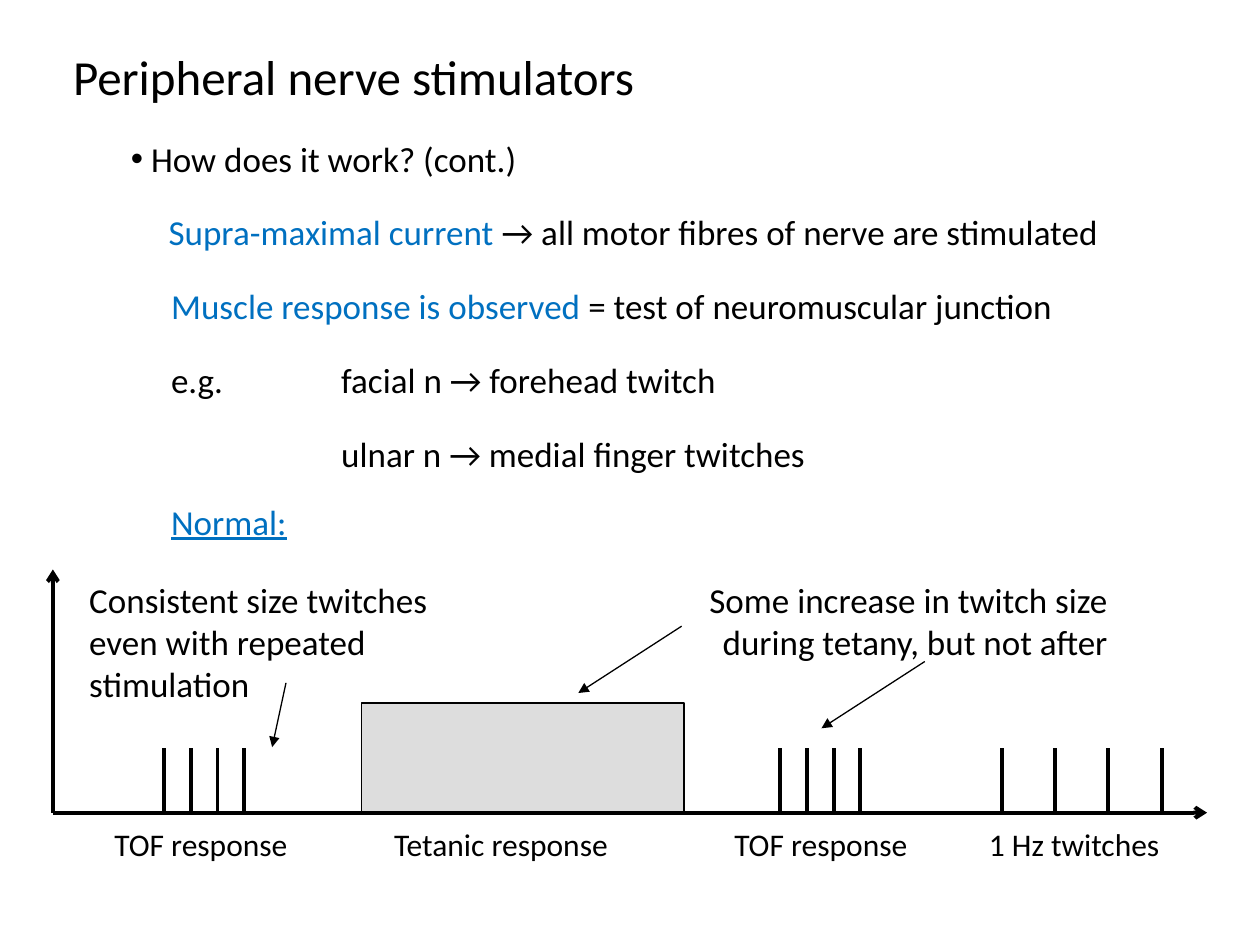
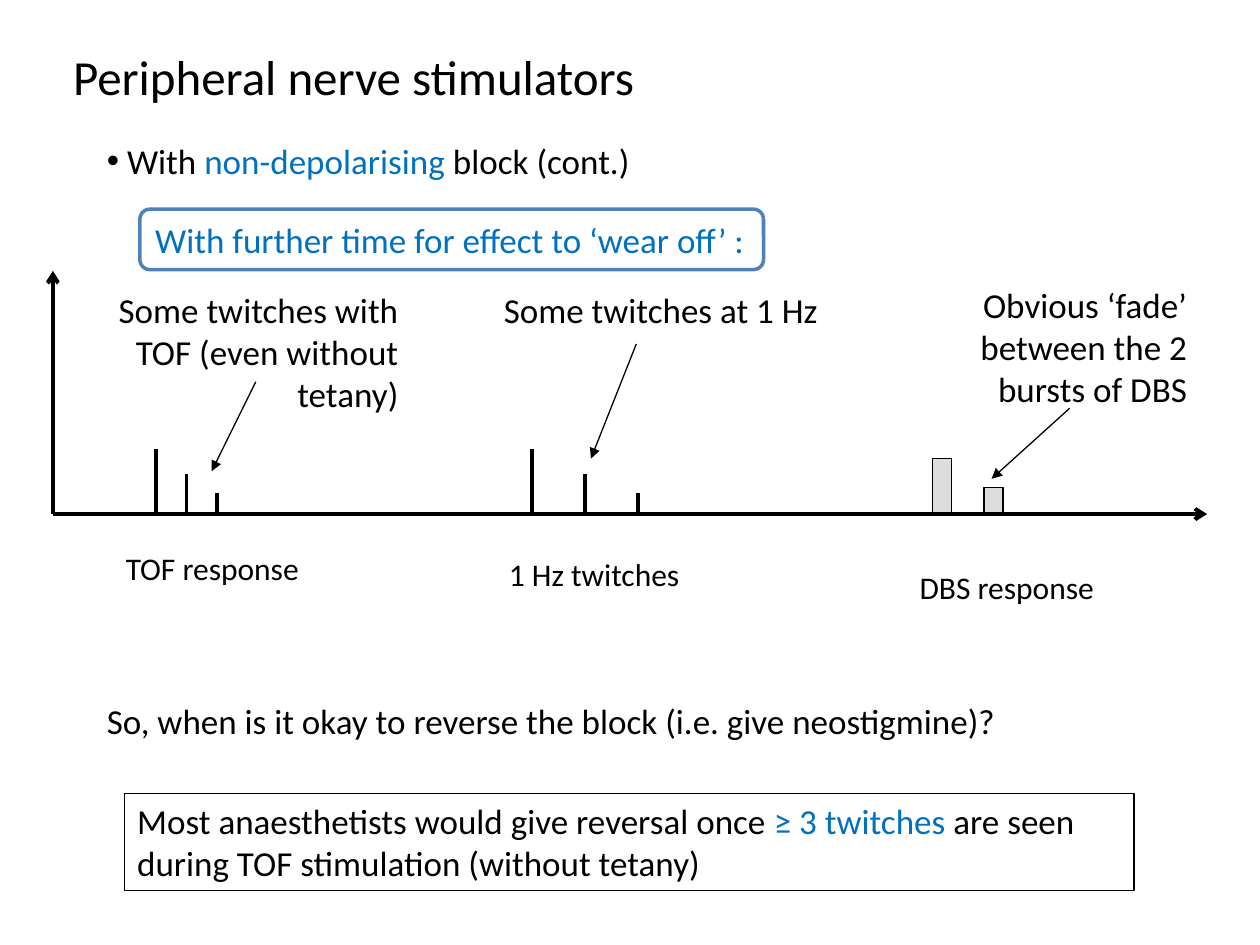
"""Build two slides on peripheral nerve stimulators."""
from dataclasses import dataclass
from typing import NamedTuple, Optional

from lxml.etree import SubElement
from pptx import Presentation
from pptx.dml.color import RGBColor
from pptx.enum.shapes import MSO_CONNECTOR, MSO_SHAPE
from pptx.enum.text import MSO_ANCHOR, MSO_AUTO_SIZE, PP_ALIGN
from pptx.oxml.ns import qn
from pptx.shapes.autoshape import Shape
from pptx.slide import Slide
from pptx.util import Inches, Pt

BLACK = RGBColor(0x00, 0x00, 0x00)
WHITE = RGBColor(0xFF, 0xFF, 0xFF)
GREY = RGBColor(0xDD, 0xDD, 0xDD)
BLUE = RGBColor(0x00, 0x70, 0xC0)
FRAME_BLUE = RGBColor(0x4F, 0x81, 0xBD)
FONT = "Calibri"
TITLE = "Peripheral nerve stimulators"
BODY_SIZE = 20
LABEL_SIZE = 18
THIN = 0.75
THICK = 2.25
AXIS_LEFT = 0.42
AXIS_RIGHT = 9.58
AXIS_HEIGHT = 1.93
TOF_STEP = 0.213
SLOW_STEP = 0.423
STEADY = (0.51,) * 4
FADING = (0.52, 0.32, 0.17)


class Run(NamedTuple):
    """A stretch of text in one colour."""
    text: str
    color: RGBColor = BLACK


class Area(NamedTuple):
    """A rectangle in inches."""
    left: float
    top: float
    width: float
    height: float


class Arrow(NamedTuple):
    """A pointer from a note to a response, in inches."""
    start_x: float
    start_y: float
    end_x: float
    end_y: float


@dataclass(frozen=True)
class Note:
    """A text box and its format."""
    area: Area
    runs: tuple[Run, ...]
    size: float = BODY_SIZE
    align: PP_ALIGN = PP_ALIGN.LEFT
    wrap: bool = False
    bullet: bool = False
    underline: bool = False


@dataclass(frozen=True)
class TwitchTrain:
    """Evenly spaced twitches standing on the time axis."""
    left: float
    step: float
    heights: tuple[float, ...]


def write_text(shape: Shape, runs: tuple[Run, ...], *, size: float = BODY_SIZE,
               align: PP_ALIGN = PP_ALIGN.LEFT, wrap: bool = False,
               bullet: bool = False, underline: bool = False) -> None:
    """Fill a shape with one formatted paragraph."""
    frame = shape.text_frame
    frame.word_wrap = wrap
    frame.auto_size = MSO_AUTO_SIZE.SHAPE_TO_FIT_TEXT
    frame.vertical_anchor = MSO_ANCHOR.TOP
    paragraph = frame.paragraphs[0]
    paragraph.alignment = align
    if bullet:
        properties = paragraph._p.get_or_add_pPr()
        properties.set("marL", str(Inches(0.16)))
        properties.set("indent", str(-Inches(0.16)))
        SubElement(properties, qn("a:buFont"), typeface="Arial")
        SubElement(properties, qn("a:buChar"), char="•")
    for text, color in runs:
        run = paragraph.add_run()
        run.text = text
        run.font.name = FONT
        run.font.size = Pt(size)
        run.font.color.rgb = color
        if underline:
            run.font.underline = True


def add_titled_slide(presentation: Presentation) -> Slide:
    """Add a title-only slide with the shared title."""
    slide = presentation.slides.add_slide(presentation.slide_layouts[5])
    title = slide.shapes.title
    title.left, title.top = Inches(0.48), Inches(0.32)
    title.width, title.height = Inches(5.05), Inches(0.57)
    write_text(title, (Run(TITLE),), size=28)
    return slide


def add_note(slide: Slide, note: Note) -> None:
    """Add a text box."""
    box = slide.shapes.add_textbox(*map(Inches, note.area))
    write_text(box, note.runs, size=note.size, align=note.align, wrap=note.wrap,
               bullet=note.bullet, underline=note.underline)


def add_box(slide: Slide, area: Area, *, fill: Optional[RGBColor] = None,
            line: RGBColor = BLACK, width: float = THIN,
            kind: MSO_SHAPE = MSO_SHAPE.RECTANGLE) -> Shape:
    """Add an outlined box."""
    box = slide.shapes.add_shape(kind, *map(Inches, area))
    box.shadow.inherit = False
    if fill is None:
        box.fill.background()
    else:
        box.fill.solid()
        box.fill.fore_color.rgb = fill
    box.line.color.rgb = line
    box.line.width = Pt(width)
    return box


def add_line(slide: Slide, ends: Arrow, *, width: float = THIN,
             head: Optional[str] = None) -> None:
    """Add a straight black line, with an arrowhead at its end if named."""
    connector = slide.shapes.add_connector(MSO_CONNECTOR.STRAIGHT, *map(Inches, ends))
    connector.line.color.rgb = BLACK
    connector.line.width = Pt(width)
    properties = connector._element.spPr
    if head:
        SubElement(properties.find(qn("a:ln")), qn("a:tailEnd"), type=head)
    SubElement(properties, qn("a:effectLst"))


def add_graph(slide: Slide, baseline: float, trains: list[TwitchTrain],
              arrows: list[Arrow]) -> None:
    """Draw the axes, twitches and pointers."""
    axis_ends = ((AXIS_RIGHT, baseline), (AXIS_LEFT, baseline - AXIS_HEIGHT))
    for end_x, end_y in axis_ends:
        add_line(slide, Arrow(AXIS_LEFT, baseline, end_x, end_y), width=THICK, head="arrow")
    for train in trains:
        for index, height in enumerate(train.heights):
            x = train.left + index * train.step
            add_line(slide, Arrow(x, baseline - height, x, baseline), width=THICK)
    for arrow in arrows:
        add_line(slide, arrow, head="triangle")


def add_labels(slide: Slide, labels: list[tuple[str, Area]]) -> None:
    """Name the responses below the time axis."""
    for text, area in labels:
        add_note(slide, Note(area, (Run(text),), size=LABEL_SIZE))


def build_normal_slide(presentation: Presentation) -> None:
    """Show the normal response."""
    slide = add_titled_slide(presentation)
    baseline = 6.45
    notes = [
        Note(Area(0.94, 1.04, 3.51, 0.43), (Run("How does it work? (cont.)"),), bullet=True),
        Note(Area(1.24, 1.62, 7.67, 0.44),
             (Run("Supra-maximal current ", BLUE),
              Run("→ all motor fibres of nerve are stimulated"))),
        Note(Area(1.26, 2.21, 7.28, 0.44),
             (Run("Muscle response is observed ", BLUE),
              Run("= test of neuromuscular junction"))),
        Note(Area(1.26, 2.8, 0.66, 0.43), (Run("e.g."),)),
        Note(Area(2.61, 2.8, 3.39, 0.43), (Run("facial n → forehead twitch"),)),
        Note(Area(2.61, 3.38, 4.15, 0.43), (Run("ulnar n → medial finger twitches"),)),
        Note(Area(1.26, 3.92, 1.17, 0.43), (Run("Normal:", BLUE),), underline=True),
        Note(Area(0.61, 4.54, 3.24, 1.1),
             (Run("Consistent size twitches even with repeated stimulation"),), wrap=True),
        Note(Area(5.14, 4.54, 3.75, 0.77),
             (Run("Some increase in twitch size during tetany, but not after"),),
             align=PP_ALIGN.RIGHT, wrap=True),
    ]
    for note in notes:
        add_note(slide, note)
    add_box(slide, Area(2.87, 5.58, 2.56, 0.87), fill=GREY)
    add_graph(slide, baseline,
              [TwitchTrain(1.3, TOF_STEP, STEADY),
               TwitchTrain(6.19, TOF_STEP, STEADY),
               TwitchTrain(7.95, SLOW_STEP, STEADY)],
              [Arrow(2.27, 5.42, 2.16, 5.93),
               Arrow(5.41, 4.97, 4.59, 5.5),
               Arrow(7.34, 5.25, 6.52, 5.78)])
    add_labels(slide, [
        ("TOF response", Area(0.81, 6.5, 1.8, 0.4)),
        ("Tetanic response", Area(3.03, 6.5, 2.12, 0.4)),
        ("TOF response", Area(5.73, 6.5, 1.8, 0.4)),
        ("1 Hz twitches", Area(7.75, 6.5, 1.69, 0.4)),
    ])


def build_recovery_slide(presentation: Presentation) -> None:
    """Show the response as a non-depolarising block wears off."""
    slide = add_titled_slide(presentation)
    baseline = 4.08
    for left, height in ((7.4, 0.44), (7.81, 0.21)):
        add_box(slide, Area(left, baseline - height, 0.15, height), fill=GREY)
    stage = add_box(slide, Area(1.11, 1.66, 4.95, 0.48), fill=WHITE, line=FRAME_BLUE,
                    width=2, kind=MSO_SHAPE.ROUNDED_RECTANGLE)
    write_text(stage, (Run("With further time for effect to ‘wear off’ :", BLUE),))
    notes = [
        Note(Area(0.75, 1.06, 4.41, 0.44),
             (Run("With"), Run(" non-depolarising", BLUE), Run(" block (cont.)")),
             bullet=True),
        Note(Area(0.65, 2.24, 2.61, 1.1),
             (Run("Some twitches with TOF (even without tetany)"),),
             align=PP_ALIGN.RIGHT, wrap=True),
        Note(Area(3.9, 2.24, 3.24, 0.43), (Run("Some twitches at 1 Hz"),), wrap=True),
        Note(Area(7.49, 2.2, 2.03, 1.1),
             (Run("Obvious ‘fade’ between the 2 bursts of DBS"),),
             align=PP_ALIGN.RIGHT, wrap=True),
        Note(Area(0.75, 5.5, 7.96, 0.43),
             (Run("So, when is it okay to reverse the block (i.e. give neostigmine)?"),)),
    ]
    for note in notes:
        add_note(slide, note)
    add_graph(slide, baseline,
              [TwitchTrain(1.24, 0.24, FADING), TwitchTrain(4.22, 0.42, FADING)],
              [Arrow(2.03, 3.03, 1.68, 3.74),
               Arrow(5.05, 2.73, 4.69, 3.64),
               Arrow(8.49, 3.24, 7.87, 3.8)])
    add_labels(slide, [
        ("TOF response", Area(0.9, 4.31, 1.8, 0.4)),
        ("1 Hz twitches", Area(3.94, 4.36, 1.69, 0.4)),
        ("DBS response", Area(7.2, 4.46, 1.81, 0.4)),
    ])
    answer = add_box(slide, Area(0.99, 6.3, 8.01, 0.77))
    write_text(answer, (Run("Most anaesthetists would give reversal once "),
                        Run("≥ 3 twitches", BLUE),
                        Run(" are seen during TOF stimulation (without tetany)")), wrap=True)


def main() -> None:
    """Build and save the presentation."""
    presentation = Presentation()
    presentation.slide_width = Inches(10)
    presentation.slide_height = Inches(7.5)
    build_normal_slide(presentation)
    build_recovery_slide(presentation)
    presentation.save("out.pptx")


if __name__ == "__main__":
    main()
